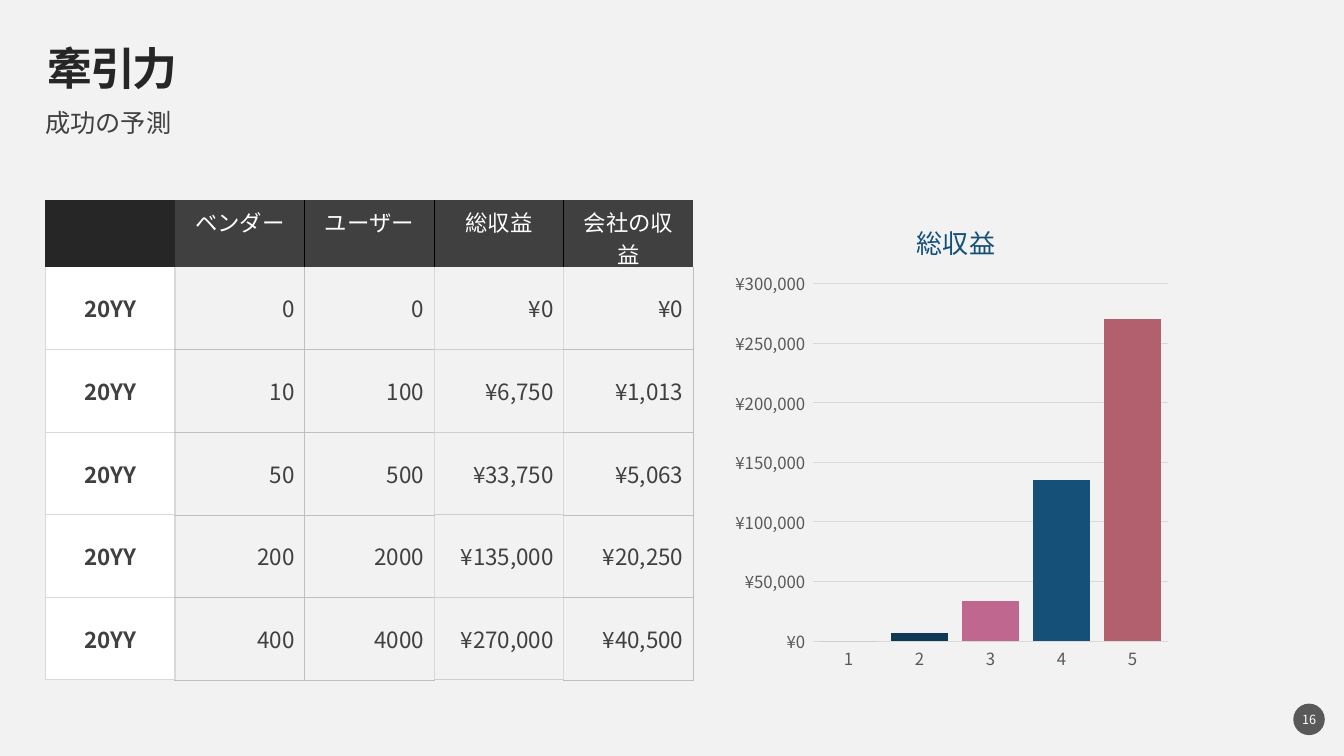
from lxml import etree
from pptx import Presentation
from pptx.chart.data import CategoryChartData
from pptx.dml.color import RGBColor
from pptx.enum import chart as charts, shapes, text
from pptx.oxml import parse_xml
from pptx.oxml.ns import nsdecls, qn
from pptx.util import Pt

FONT = "Noto Sans CJK JP"
COLORS = {
    "background": "F2F2F2", "title": "262626", "body": "404040", "badge": "595959",
    "white": "FFFFFF", "black": "000000", "rule": "D9D9D9", "thin_rule": "BFBFBF",
    "warm_rule": "D0CECE", "pink": "BF678E", "navy": "0F3955", "blue": "155078", "rose": "B2606E",
}
TITLE = "牽引力"
SUBTITLE = "成功の予測"
PAGE_NUMBER = "16"
TABLE_ROWS = [
    ("", "ベンダー", "ユーザー", "総収益", "会社の収益"),
    ("20YY", "0", "0", "¥0", "¥0"),
    ("20YY", "10", "100", "¥6,750", "¥1,013"),
    ("20YY", "50", "500", "¥33,750", "¥5,063"),
    ("20YY", "200", "2000", "¥135,000", "¥20,250"),
    ("20YY", "400", "4000", "¥270,000", "¥40,500"),
]
CHART_TITLE = "総収益"
REVENUE = {"1": 0, "2": 7000, "3": 34000, "4": 135000, "5": 270000}
POINT_COLORS = {1: "navy", 3: "blue", 4: "rose"}

RULE, THIN, WARM, BLACK = ("rule", 1), ("thin_rule", 0.25), ("warm_rule", 1), ("black", 1)
HEADER_EDGES = [None, None, BLACK, BLACK, BLACK, None]
BODY_EDGES = [RULE, RULE, THIN, RULE, RULE, THIN]
ROW_RULES = [RULE, THIN, THIN, WARM, THIN]
COLUMN_WIDTH, HEADER_HEIGHT, ROW_HEIGHT = 92.6, 47.5, 59
PLAIN_STYLE = "{2D5ABB26-0587-4C30-8999-92F81FD0307C}"


def rgb(name):
    """Return the named colour."""
    return RGBColor.from_string(COLORS[name])


def style_font(font, size, color, bold=False):
    """Apply size, colour, weight and typeface to a font."""
    font.size, font.bold, font.name = Pt(size), bold, FONT
    font.color.rgb = rgb(color)
    properties = font._element if hasattr(font, "_element") else font._rPr
    east_asian = parse_xml(f'<a:ea {nsdecls("a")} typeface="{FONT}"/>')
    properties.find(qn("a:latin")).addnext(east_asian)
    return properties


def write(frame, content, size, color, bold=False, align=text.PP_ALIGN.LEFT):
    """Put one formatted paragraph in a text frame."""
    frame.text = content
    paragraph = frame.paragraphs[0]
    paragraph.alignment = align
    for run in paragraph.runs:
        style_font(run.font, size, color, bold)
    return paragraph


def clear_margins(frame, anchor):
    """Remove the insets and anchor the text."""
    frame.margin_left = frame.margin_right = frame.margin_top = frame.margin_bottom = 0
    frame.vertical_anchor = anchor


def add_label(slide, box, content, size, color, anchor, bold=False):
    """Add a wrapped text box and return its paragraph."""
    frame = slide.shapes.add_textbox(*map(Pt, box)).text_frame
    clear_margins(frame, anchor)
    frame.word_wrap = True
    paragraph = write(frame, content, size, color, bold)
    paragraph.line_spacing = 0.9
    return paragraph


def set_borders(cell, borders):
    """Draw the left, right, top and bottom cell borders."""
    properties = cell._tc.get_or_add_tcPr()
    for side, border in zip("LRTB", borders):
        line = etree.SubElement(properties, qn(f"a:ln{side}"))
        if border is None:
            etree.SubElement(line, qn("a:noFill"))
            continue
        color, width = border
        line.set("w", str(int(Pt(width))))
        fill = etree.SubElement(line, qn("a:solidFill"))
        etree.SubElement(fill, qn("a:srgbClr"), val=COLORS[color])


def fill_cell(cell, row, column, content):
    """Format one cell by its place in the table."""
    header, label = row == 0, column == 0
    edges = HEADER_EDGES if header else BODY_EDGES
    top = None if row < 2 else ROW_RULES[column]
    bottom = None if header else ROW_RULES[column]
    set_borders(cell, (edges[column], edges[column + 1], top, bottom))
    if header or label or column == 3:
        cell.fill.solid()
        if header:
            cell.fill.fore_color.rgb = rgb("title" if label else "body")
        else:
            cell.fill.fore_color.rgb = rgb("white" if label else "background")
    else:
        cell.fill.background()
    cell.vertical_anchor = text.MSO_ANCHOR.TOP if header else text.MSO_ANCHOR.MIDDLE
    align = text.PP_ALIGN.CENTER if header or label else text.PP_ALIGN.RIGHT
    write(cell.text_frame, content, 16, "white" if header else "body", label and not header, align)


def add_forecast_table(slide):
    """Add the forecast table."""
    heights = [HEADER_HEIGHT] + [ROW_HEIGHT] * (len(TABLE_ROWS) - 1)
    columns = len(TABLE_ROWS[0])
    box = (32.4, 143.2, COLUMN_WIDTH * columns, sum(heights))
    table = slide.shapes.add_table(len(TABLE_ROWS), columns, *map(Pt, box)).table
    table._tbl.tblPr.find(qn("a:tableStyleId")).text = PLAIN_STYLE
    table.horz_banding = False
    for column in table.columns:
        column.width = Pt(COLUMN_WIDTH)
    for row, (height, values) in enumerate(zip(heights, TABLE_ROWS)):
        table.rows[row].height = Pt(height)
        for column, content in enumerate(values):
            fill_cell(table.cell(row, column), row, column, content)


def place(parent, before, **position):
    """Give a chart part a manual layout ahead of a sibling tag."""
    target = '<c:layoutTarget val="inner"/>' if "w" in position else ""
    modes = '<c:xMode val="edge"/><c:yMode val="edge"/>'
    values = "".join(f'<c:{key} val="{value}"/>' for key, value in position.items())
    for old in parent.findall(qn("c:layout")):
        parent.remove(old)
    parent.find(qn(before)).addprevious(parse_xml(
        f'<c:layout {nsdecls("c")}><c:manualLayout>{target}{modes}{values}</c:manualLayout></c:layout>'))


def add_revenue_chart(slide):
    """Add the revenue column chart."""
    data = CategoryChartData()
    data.categories = list(REVENUE)
    data.add_series("Series 1", list(REVENUE.values()))
    chart = slide.shapes.add_chart(
        charts.XL_CHART_TYPE.COLUMN_CLUSTERED, *map(Pt, (519.8, 136.1, 321.1, 349.9)), data).chart
    style_font(chart.font, 10, "black")
    chart.has_legend = False
    chart.has_title = True
    write(chart.chart_title.text_frame, CHART_TITLE, 18.6, "blue")
    chart.chart_title.include_in_layout = False
    place(chart.chart_title._element, "c:overlay", x=0.41, y=0.05)
    plot = chart.plots[0]
    place(chart._chartSpace.chart.plotArea, "c:barChart", x=0.19, y=0.19, w=0.79, h=0.73)
    plot.gap_width, plot.vary_by_categories = 25, False
    series = plot.series[0]
    fills = [series.format.fill] + [series.points[index].format.fill for index in POINT_COLORS]
    for fill, color in zip(fills, ["pink", *POINT_COLORS.values()]):
        fill.solid()
        fill.fore_color.rgb = rgb(color)
    values, categories = chart.value_axis, chart.category_axis
    for axis in (values, categories):
        axis.major_tick_mark = axis.minor_tick_mark = charts.XL_TICK_MARK.NONE
        style_font(axis.tick_labels.font, 12, "badge")
    values.minimum_scale, values.maximum_scale, values.major_unit = 0, 300000, 50000
    values.tick_labels.number_format = '"¥"#,##0_);\\("¥"#,##0\\)'
    values.tick_labels.number_format_is_linked = False
    values.format.line.fill.background()
    for line in (categories.format.line, values.major_gridlines.format.line):
        line.color.rgb, line.width = rgb("rule"), Pt(0.75)


def add_page_badge(slide):
    """Add the round page number."""
    badge = slide.shapes.add_shape(shapes.MSO_SHAPE.OVAL, *map(Pt, (923.8, 502.6, 22.5, 22.5)))
    badge.shadow.inherit = False
    badge.fill.solid()
    badge.fill.fore_color.rgb = rgb("badge")
    badge.line.fill.background()
    clear_margins(badge.text_frame, text.MSO_ANCHOR.MIDDLE)
    write(badge.text_frame, PAGE_NUMBER, 9, "white", align=text.PP_ALIGN.CENTER)


def main():
    """Build and save the slide."""
    presentation = Presentation()
    presentation.slide_width, presentation.slide_height = Pt(960), Pt(540)
    slide = presentation.slides.add_slide(presentation.slide_layouts[6])
    slide.background.fill.solid()
    slide.background.fill.fore_color.rgb = rgb("background")
    title = add_label(slide, (33.8, 33.8, 892, 33.8), TITLE, 32, "title", text.MSO_ANCHOR.MIDDLE, True)
    title.runs[0].font._element.set("spc", "-150")
    subtitle = add_label(slide, (32.4, 79.2, 798.5, 20.2), SUBTITLE, 18, "body", text.MSO_ANCHOR.TOP)
    subtitle.space_before = Pt(10)
    add_forecast_table(slide)
    add_revenue_chart(slide)
    add_page_badge(slide)
    presentation.save("out.pptx")


if __name__ == "__main__":
    main()
